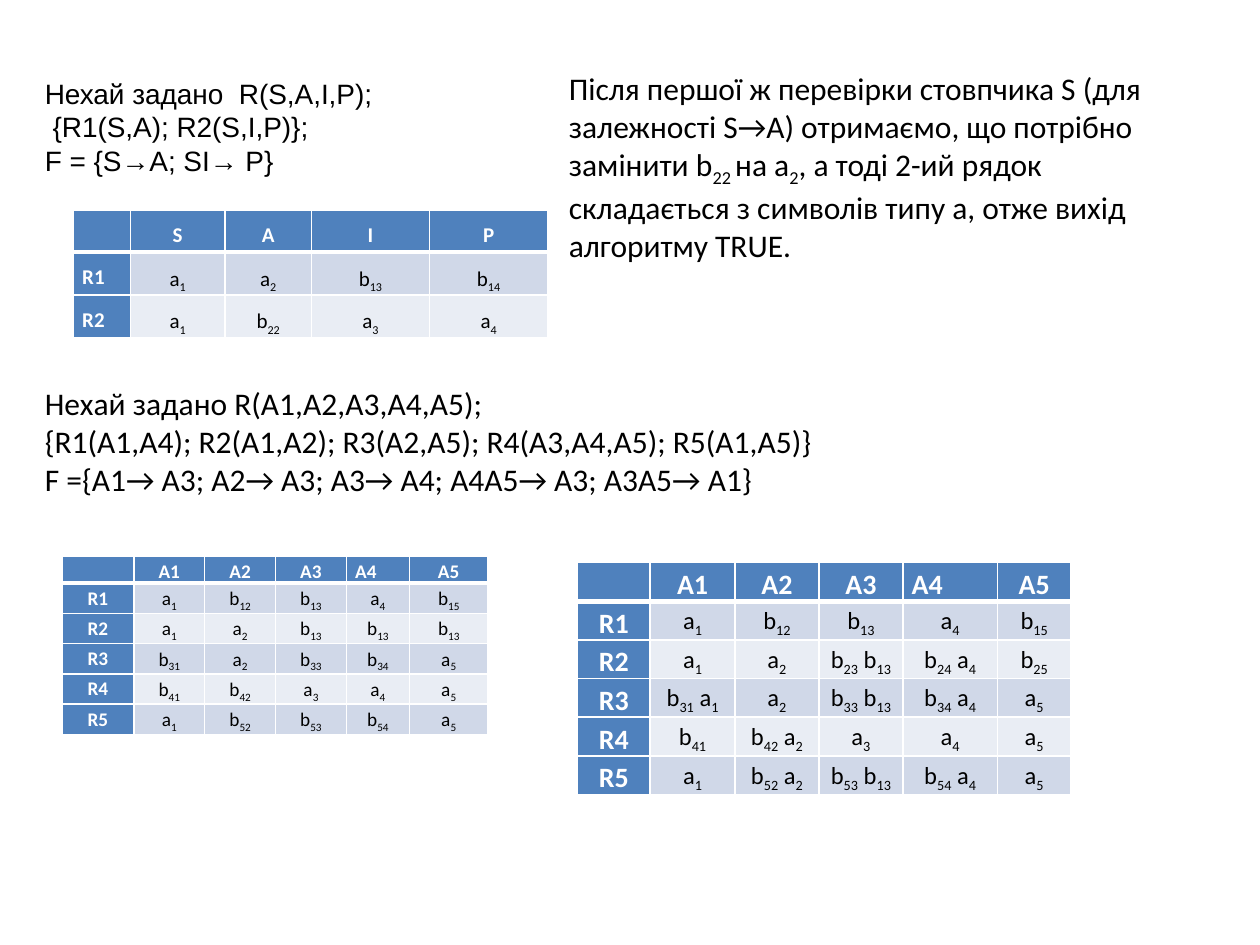
from dataclasses import dataclass
from itertools import cycle
from lxml import etree
from pptx import Presentation
from pptx.dml.color import RGBColor
from pptx.enum import text
from pptx.oxml.ns import qn
from pptx.util import Pt

ALIGN = text.PP_ALIGN
LEFT, MID, JUST = ALIGN.LEFT, ALIGN.CENTER, ALIGN.JUSTIFY


@dataclass(frozen=True)
class Theme:
    """Colours, fonts and type sizes of the slide."""
    head: str = "4F81BD"
    bands: tuple = ("D0D8E8", "E9EDF4")
    light: str = "FFFFFF"
    dark: str = "000000"
    sans: str = "Calibri"
    alt: str = "Arial"
    body: int = 18
    note: int = 16


T = Theme()


def write(par, bits, size, color=T.dark, font=T.sans, bold=False):
    """Add runs to a paragraph; every second bit is a subscript."""
    for i, bit in enumerate(bits):
        run = par.add_run()
        run.text = bit
        face = run.font
        face.size, face.name, face.bold = Pt(size), font, bold
        face.color.rgb = RGBColor.from_string(color)
        if i % 2:
            face._element.set("baseline", "-25000")


def note(slide, box, lines, size=T.body, font=T.sans, align=LEFT, anchor=text.MSO_ANCHOR.TOP):
    """Place a text block, one paragraph a line; underscores toggle subscripts."""
    frame = slide.shapes.add_textbox(*map(Pt, box)).text_frame
    frame.word_wrap = True
    frame.vertical_anchor = anchor
    for i, line in enumerate(lines):
        par = frame.add_paragraph() if i else frame.paragraphs[0]
        par.alignment = align
        write(par, line.split("_"), size, font=font)


def edge(cell, low):
    """Draw white borders round a cell, with the given lower width."""
    props = cell._tc.get_or_add_tcPr()
    for side, width in zip("LRTB", (1, 1, 1, low)):
        line = etree.SubElement(props, qn(f"a:ln{side}"), w=str(Pt(width)))
        fill = etree.SubElement(line, qn("a:solidFill"))
        etree.SubElement(fill, qn("a:srgbClr"), val=T.light)


def split(label):
    """Turn 'b23 b13' into alternating letters and subscripts."""
    bits = []
    for word in label.split():
        bits += [(" " if bits else "") + word[0], word[1:]]
    return bits


def grid(slide, spot, cols, tall, heads, rows, sizes, gap, side=MID, odd=None):
    """Place a table with a heading row and a heading column."""
    data = [["", *heads.split()]]
    data += [[f"R{i}", *row.split("|")] for i, row in enumerate(rows, 1)]
    box = (*spot, sum(cols), sum(tall))
    table = slide.shapes.add_table(len(data), len(cols), *map(Pt, box)).table
    table.first_row = table.horz_banding = False
    for col, width in zip(table.columns, cols):
        col.width = Pt(width)
    bands = cycle(T.bands)
    for r, labels in enumerate(data):
        table.rows[r].height = Pt(tall[r])
        band = next(bands) if r else T.head
        for c, label in enumerate(labels):
            cell = table.cell(r, c)
            head = r == 0 or c == 0
            edge(cell, 1 if r else 3)
            cell.fill.solid()
            cell.fill.fore_color.rgb = RGBColor.from_string(T.head if head else band)
            cell.margin_left = cell.margin_right = Pt(5)
            cell.margin_top = cell.margin_bottom = 0
            par = cell.text_frame.paragraphs[0]
            par.line_spacing = gap
            par.alignment = side if c == 0 else LEFT if (r, c) == (0, odd) else MID
            if not label:
                etree.SubElement(par._p, qn("a:endParaRPr"), sz=str(sizes[0] * 100))
            elif head:
                write(par, [label], sizes[0], T.light, bold=True)
            else:
                write(par, split(label), sizes[1])


def build():
    """Make the slide and save it."""
    deck = Presentation()
    deck.slide_width, deck.slide_height = Pt(720), Pt(540)
    slide = deck.slides.add_slide(deck.slide_layouts[6])
    grid(slide, (42, 120), (32.5, 54, 49.5, 67.5, 67.5), [24.1] * 3, "S A I P",
         ["a1|a2|b13|b14", "a1|b22|a3|a4"], (12, 12), 1.5, JUST)
    note(slide, (18.5, 39.5, 378, 65.5),
         ["Нехай задано  R(S,A,I,P);", " {R1(S,A); R2(S,I,P)}; ", "F = {S→A; SI→ P}"],
         T.note, T.alt, JUST, text.MSO_ANCHOR.MIDDLE)
    note(slide, (318, 36, 360, 138),
         ["Після першої ж перевірки стовпчика S (для залежності S→A) отримаємо, "
          "що потрібно замінити b_22 _на a_2_, а тоді 2-ий рядок складається "
          "з символів типу а, отже вихід алгоритму TRUE."])
    note(slide, (18.5, 216, 522, 94),
         ["Нехай задано R(A1,A2,A3,A4,A5); ",
          "{R1(A1,A4); R2(A1,A2); R3(A2,A5); R4(A3,A4,A5); R5(A1,A5)}",
          "F ={A1→ A3; A2→ A3; A3→ A4; A4A5→ A3; A3A5→ A1}"])
    heads = "А1 А2 А3 А4 А5"
    grid(slide, (35.5, 318), (41, 40.5, 40.5, 40.5, 36, 45), [15] + [17.2] * 5, heads,
         ["a1|b12|b13|a4|b15", "a1|a2|b13|b13|b13", "b31|a2|b33|b34|a5",
          "b41|b42|a3|a4|a5", "a1|b52|b53|b54|a5"], (11, 11), 1.15, odd=4)
    grid(slide, (330, 321.5), (41.5, 48.5, 48, 48, 54, 42), [22.1] * 6, heads,
         ["a1|b12|b13|a4|b15", "a1|a2|b23 b13|b24 a4|b25", "b31 a1|a2|b33 b13|b34 a4|a5",
          "b41|b42 a2|a3|a4|a5", "a1|b52 a2|b53 b13|b54 a4|a5"], (16, 14), 1.15, odd=4)
    deck.save("out.pptx")


build()
